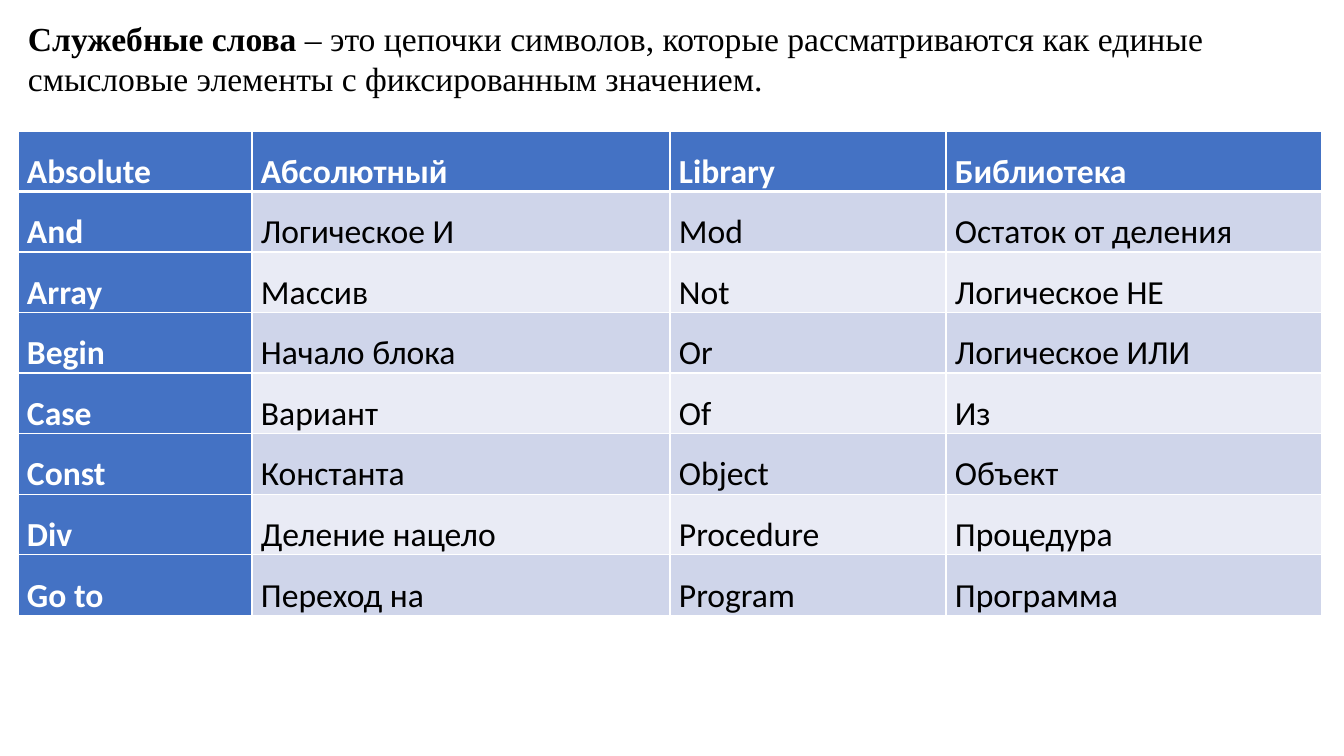
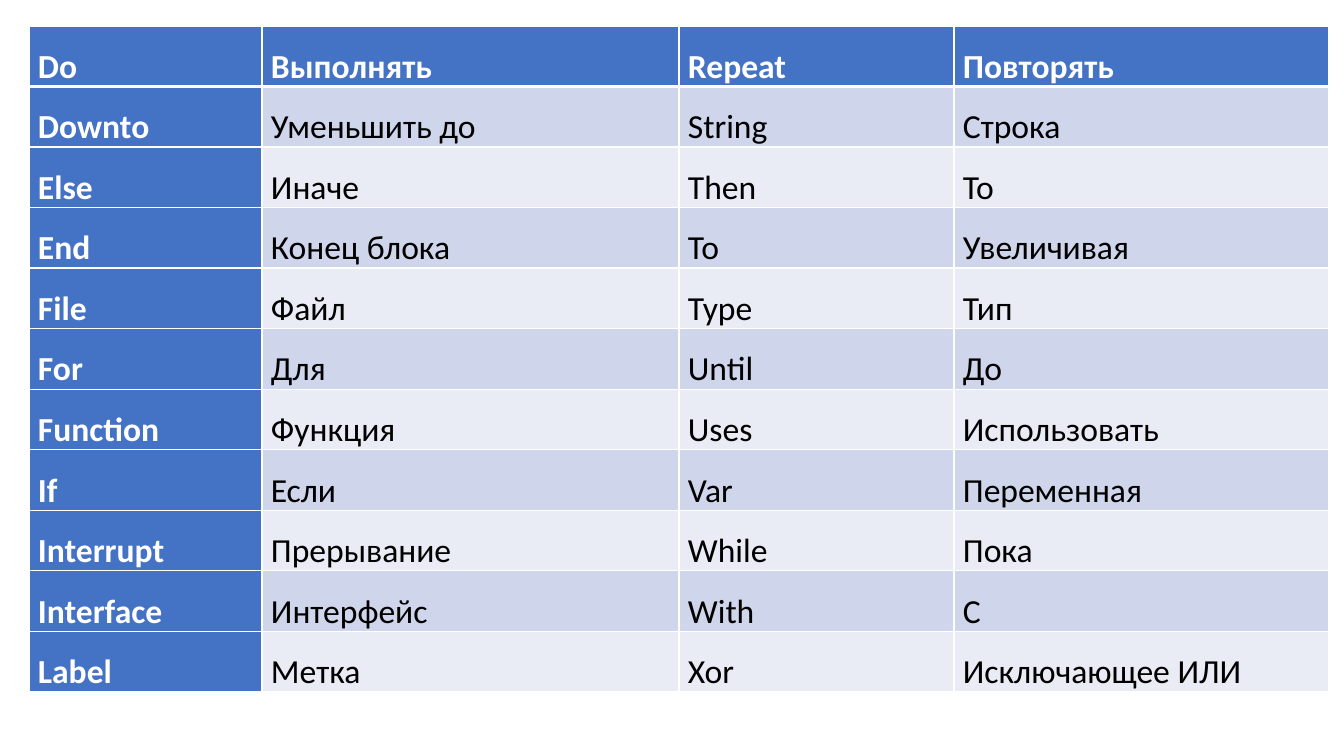
from lxml.etree import SubElement
from pptx import Presentation
from pptx.dml.color import RGBColor
from pptx.enum.text import MSO_AUTO_SIZE as AutoSize
from pptx.oxml.ns import qn
from pptx.util import Pt

PX = 914400 / 100.8
BLUE, WHITE, BLACK = "4472C4", "FFFFFF", "000000"
BANDS = ("E9EBF5", "CFD5EA")
TABLE_FONT, DEFINITION_FONT = "Calibri", "Times New Roman"
TEXT_SIZE = 24
ROW_HEIGHT = 60
CELL_INSET, CELL_INDENT = 7, 2
THIN, THICK = 1, 3

DEFINITION = (
    ("Служебные слова", True),
    ("\u00a0– это цепочки символов, которые рассматриваются как единые "
     "смысловые элементы с фиксированным значением.", False),
)
WORDS_ABSOLUTE_TO_PROGRAM = (
    ("Absolute", "Абсолютный", "Library", "Библиотека"),
    ("And", "Логическое И", "Mod", "Остаток от деления"),
    ("Array", "Массив", "Not", "Логическое НЕ"),
    ("Begin", "Начало блока", "Or", "Логическое ИЛИ"),
    ("Case", "Вариант", "Of", "Из"),
    ("Const", "Константа", "Object", "Объект"),
    ("Div", "Деление нацело", "Procedure", "Процедура"),
    ("Go to", "Переход на", "Program", "Программа"),
)
WORDS_DO_TO_XOR = (
    ("Do", "Выполнять", "Repeat", "Повторять"),
    ("Downto", "Уменьшить до", "String", "Строка"),
    ("Else", "Иначе", "Then", "То"),
    ("End", "Конец блока", "To", "Увеличивая"),
    ("File", "Файл", "Type", "Тип"),
    ("For", "Для", "Until", "До"),
    ("Function", "Функция", "Uses", "Использовать"),
    ("If", "Если", "Var", "Переменная"),
    ("Interrupt", "Прерывание", "While", "Пока"),
    ("Interface", "Интерфейс", "With", "С"),
    ("Label", "Метка", "Xor", "Исключающее ИЛИ"),
)


def px(pixels):
    """Turn pixels into EMU."""
    return round(pixels * PX)


def color(hex_code):
    """Turn a hex string into a colour."""
    return RGBColor.from_string(hex_code)


def add_run(paragraph, words, font, hex_code, bold):
    """Append one formatted run to a paragraph."""
    run = paragraph.add_run()
    run.text = words
    run.font.name = font
    run.font.size = Pt(TEXT_SIZE)
    run.font.bold = bold
    run.font.color.rgb = color(hex_code)


def add_definition(slide, left, top, width, height):
    """Place the definition, with its term in bold."""
    definition = slide.shapes.add_textbox(*map(px, (left, top, width, height)))
    frame = definition.text_frame
    frame.word_wrap = True
    frame.auto_size = AutoSize.SHAPE_TO_FIT_TEXT
    for words, bold in DEFINITION:
        add_run(frame.paragraphs[0], words, DEFINITION_FONT, BLACK, bold)


def set_borders(cell, top, bottom):
    """Draw white cell borders; top and bottom widths are in points."""
    properties = cell._tc.get_or_add_tcPr()
    widths = (("lnL", THIN), ("lnR", THIN), ("lnT", top), ("lnB", bottom))
    for side, width in widths:
        line = SubElement(properties, qn(f"a:{side}"), w=str(Pt(width)))
        fill = SubElement(line, qn("a:solidFill"))
        SubElement(fill, qn("a:srgbClr"), val=WHITE)


def fill_cell(cell, words, row, column):
    """Format one cell by its place: header row, keyword column or band."""
    heading = row == 0 or column == 0
    set_borders(cell, THICK if row == 1 else THIN, THICK if row == 0 else THIN)
    cell.fill.solid()
    cell.fill.fore_color.rgb = color(BLUE if heading else BANDS[row % 2])
    cell.margin_left = cell.margin_right = px(CELL_INSET)
    cell.margin_top = cell.margin_bottom = 0
    paragraph = cell.text_frame.paragraphs[0]
    paragraph.line_spacing = 1.5
    paragraph._p.get_or_add_pPr().set("marL", str(px(CELL_INDENT)))
    add_run(paragraph, words, TABLE_FONT, WHITE if heading else BLACK, heading)


def add_word_table(slide, left, top, column_widths, rows):
    """Place a table of reserved words and their translations."""
    words_table = slide.shapes.add_table(
        len(rows), len(column_widths), px(left), px(top),
        px(sum(column_widths)), px(ROW_HEIGHT * len(rows))).table
    words_table.first_col = True
    for column, width in zip(words_table.columns, column_widths):
        column.width = px(width)
    for row, entries in enumerate(rows):
        words_table.rows[row].height = px(ROW_HEIGHT)
        for column, words in enumerate(entries):
            fill_cell(words_table.cell(row, column), words, row, column)


def main():
    """Build both slides and save them."""
    deck = Presentation()
    deck.slide_width, deck.slide_height = px(1344), px(756)
    blank = deck.slide_layouts[6]

    first = deck.slides.add_slide(blank)
    add_definition(first, 18, 13, 1290, 92)
    add_word_table(first, 18, 131, (234, 418, 276, 376),
                   WORDS_ABSOLUTE_TO_PROGRAM)

    second = deck.slides.add_slide(blank)
    add_word_table(second, 29, 26, (233, 417, 275, 375), WORDS_DO_TO_XOR)

    deck.save("out.pptx")


main()
